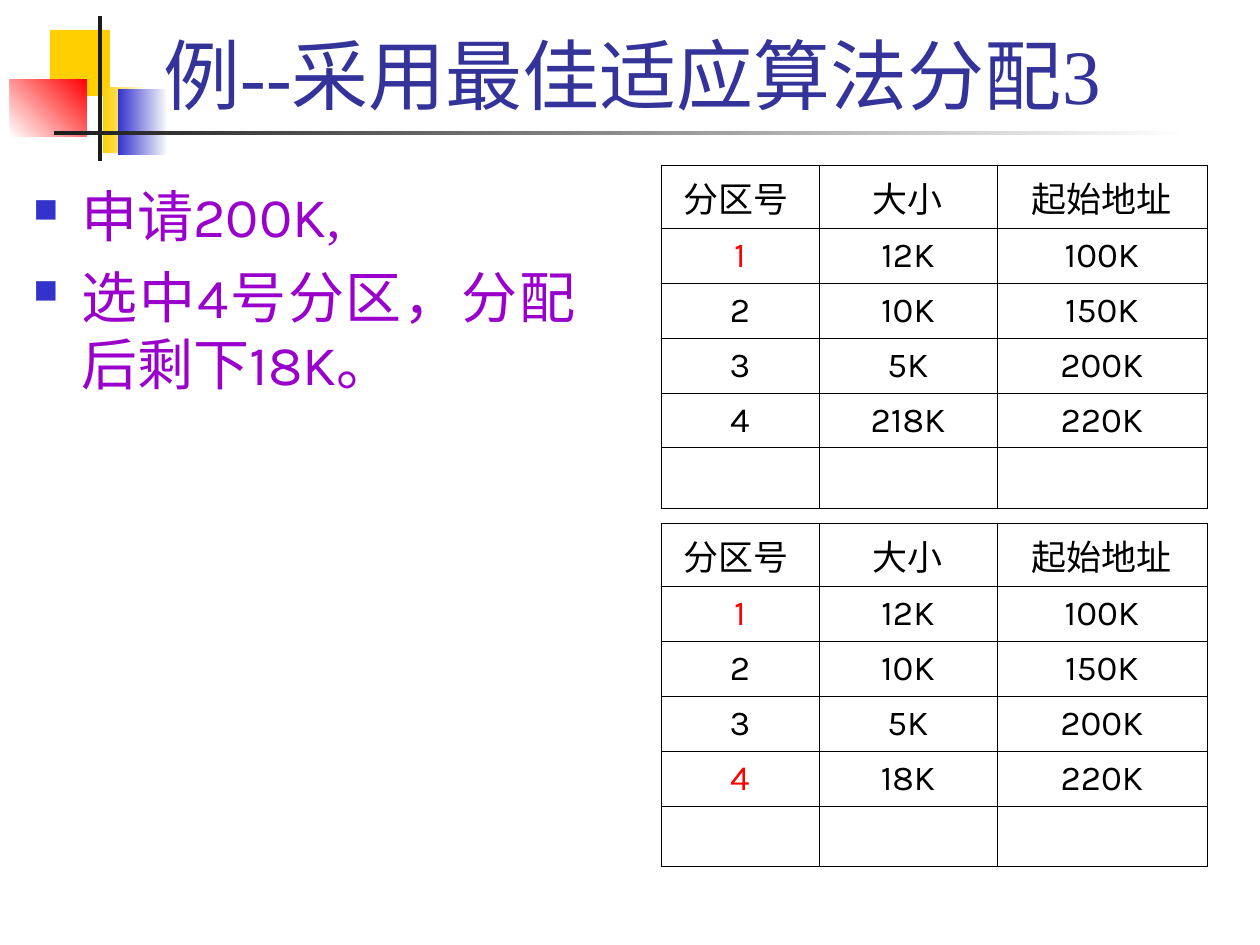
from lxml.etree import SubElement
from pptx import Presentation
from pptx.dml.color import RGBColor
from pptx.enum.shapes import MSO_SHAPE
from pptx.enum.text import MSO_ANCHOR, PP_ALIGN
from pptx.oxml import parse_xml
from pptx.oxml.ns import nsdecls, qn
from pptx.util import Pt

PX = 914400 / 126
SERIF, SANS = "Times New Roman", "Karla"
BLACK, RED, BLUE, YELLOW, WHITE = "000000", "FF0000", "3333CC", "FFCF01", "FFFFFF"
CHARCOAL, TITLE_COLOR, BODY_COLOR = "1C1C1C", "333399", "9900CC"


def px(*lengths):
    """Turn pixel lengths into EMU."""
    return [round(length * PX) for length in lengths]


def add_run(paragraph, text, font, size, color):
    run = paragraph.add_run()
    run.text = text
    run.font.name = font
    run.font.size = Pt(size)
    run.font.color.rgb = RGBColor.from_string(color)


presentation = Presentation()
presentation.slide_width, presentation.slide_height = px(1260, 945)
slide = presentation.slides.add_slide(presentation.slide_layouts[6])

# Corner ornament: box, colours (two make a gradient), gradient angle
ornament = [
    ((50, 30, 60, 66), [YELLOW], 0),
    ((103, 87, 45, 66), [YELLOW, WHITE], 0),
    ((118, 89, 50, 66), [BLUE, WHITE], 0),
    ((10, 79, 77, 58), [WHITE, RED], 45),
    ((98, 16, 4, 145), [CHARCOAL], 0),
    ((54, 131, 1134, 4), [CHARCOAL, WHITE], 0),
]
for box, colors, angle in ornament:
    shape = slide.shapes.add_shape(MSO_SHAPE.RECTANGLE, *px(*box))
    shape.shadow.inherit = False
    shape.line.fill.background()
    if len(colors) == 1:
        shape.fill.solid()
        shape.fill.fore_color.rgb = RGBColor.from_string(colors[0])
    else:
        shape.fill.gradient()
        shape.fill.gradient_angle = angle
        for stop, color in zip(shape.fill.gradient_stops, colors):
            stop.color.rgb = RGBColor.from_string(color)

# Title
title = slide.shapes.add_textbox(*px(151, 21, 1074, 105)).text_frame
title.word_wrap = True
title.vertical_anchor = MSO_ANCHOR.BOTTOM
add_run(title.paragraphs[0], "例--采用最佳适应算法分配3", SERIF, 44, TITLE_COLOR)

# Bulleted text
bullets = [
    [("申请", SERIF), ("200K", SANS), (",", SERIF)],
    [("选中", SERIF), ("4", SANS), ("号分区，分配后剩下", SERIF), ("18K", SANS), ("。", SERIF)],
]
body = slide.shapes.add_textbox(*px(21, 175, 567, 567)).text_frame
body.word_wrap = True
indent = px(48)[0]
for index, runs in enumerate(bullets):
    paragraph = body.add_paragraph() if index else body.paragraphs[0]
    properties = paragraph._p.get_or_add_pPr()
    properties.set("marL", str(indent))
    properties.set("indent", str(-indent))
    bullet_color = SubElement(properties, qn("a:buClr"))
    SubElement(bullet_color, qn("a:srgbClr"), val=BLUE)
    SubElement(properties, qn("a:buSzPct"), val="60000")
    SubElement(properties, qn("a:buChar"), char="■")
    paragraph.alignment = PP_ALIGN.JUSTIFY
    if index:
        paragraph.space_before = Pt(8)
    for text, font in runs:
        add_run(paragraph, text, font, 32, BODY_COLOR)

# Partition tables before and after the allocation
column_widths = px(158, 178, 210)
row_heights = px(63, 55, 55, 55, 55, 61)
partition_tables = [(165, "218K", {"1"}), (523, "18K", {"1", "4"})]
for top, last_size, red_numbers in partition_tables:
    rows = [
        ("分区号 ", "大小", "起始地址"),
        ("1", "12K", "100K"),
        ("2", "10K", "150K"),
        ("3", "5K", "200K"),
        ("4", last_size, "220K"),
        ("", "", ""),
    ]
    table = slide.shapes.add_table(
        len(rows), len(column_widths), *px(661, top), sum(column_widths), sum(row_heights)
    ).table
    table.first_row = False
    table.horz_banding = False
    for column, width in zip(table.columns, column_widths):
        column.width = width
    for row_index, (row, height) in enumerate(zip(rows, row_heights)):
        table.rows[row_index].height = height
        for column_index, text in enumerate(row):
            cell = table.cell(row_index, column_index)
            cell.vertical_anchor = MSO_ANCHOR.MIDDLE
            cell.fill.background()
            cell_properties = cell._tc.get_or_add_tcPr()
            for position, side in enumerate(("lnL", "lnR", "lnT", "lnB")):
                border = parse_xml(
                    f'<a:{side} {nsdecls("a")} w="5715"><a:solidFill>'
                    f'<a:srgbClr val="{BLACK}"/></a:solidFill></a:{side}>'
                )
                cell_properties.insert(position, border)
            if text:
                paragraph = cell.text_frame.paragraphs[0]
                paragraph.alignment = PP_ALIGN.CENTER
                font = SERIF if text == rows[0][0] else SANS
                color = RED if text in red_numbers else BLACK
                add_run(paragraph, text, font, 20, color)

presentation.save("out.pptx")
